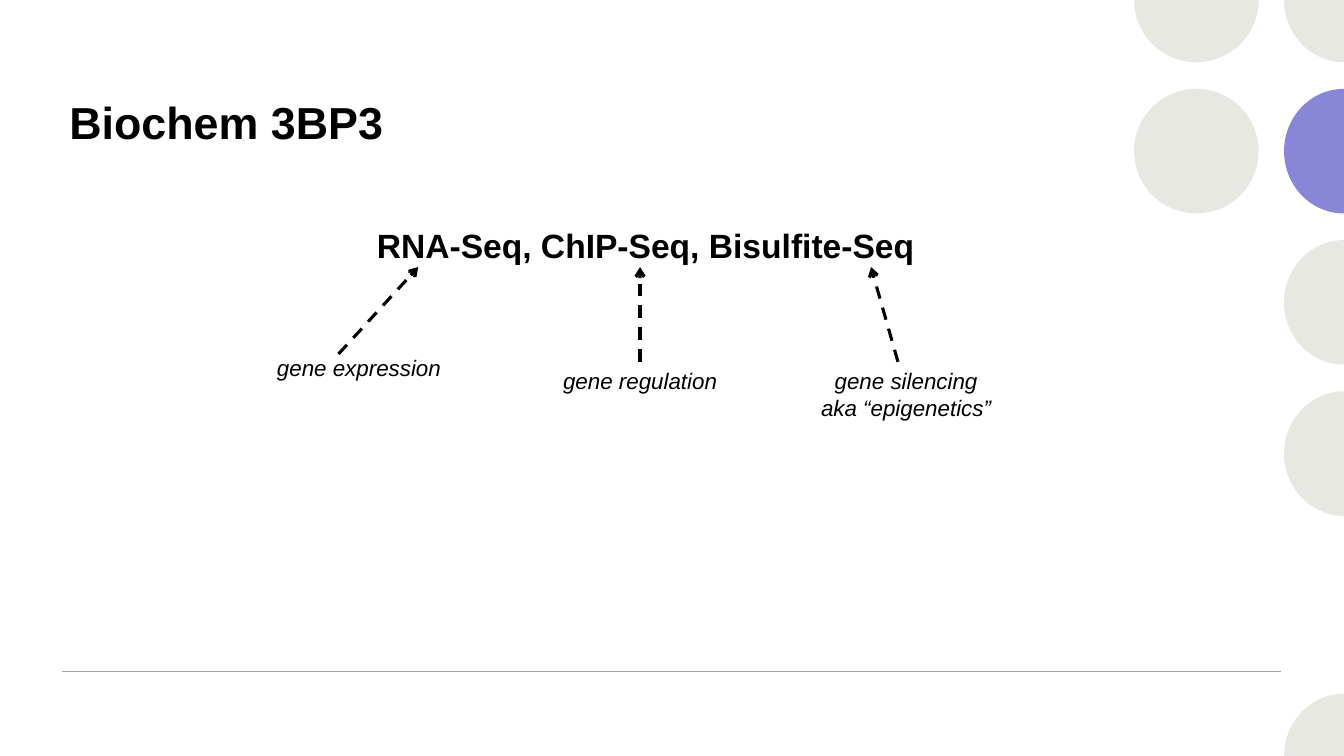
from math import cos, radians, sin

from lxml import etree
from pptx import Presentation
from pptx.dml.color import RGBColor
from pptx.enum.dml import MSO_LINE
from pptx.enum.shapes import MSO_CONNECTOR, MSO_SHAPE
from pptx.enum.text import PP_ALIGN
from pptx.oxml.ns import qn
from pptx.util import Cm, Pt

STRAIGHT = MSO_CONNECTOR.STRAIGHT
OVAL = MSO_SHAPE.OVAL
DASH = MSO_LINE.DASH
LEFT, CENTER = PP_ALIGN.LEFT, PP_ALIGN.CENTER

WIDTH, HEIGHT = 33.87, 19.05
BLACK, BEIGE, PURPLE, GREY = "000000", "E8E8E2", "8985D7", "A6A6A6"
RADIUS, EDGE_RADIUS, ROW_PITCH = 1.57, 1.51, 3.81
INNER_COLUMN = 30.15


def add_text(left, top, width, height, text, size, bold=False, italic=False, align=LEFT):
    box = slide.shapes.add_textbox(Cm(left), Cm(top), Cm(width), Cm(height))
    frame = box.text_frame
    frame.word_wrap = True
    frame.text = text
    for para in frame.paragraphs:
        para.alignment = align
        for span in para.runs:
            span.font.name = "Arial"
            span.font.size = Pt(size)
            span.font.bold = bold
            span.font.italic = italic
            span.font.color.rgb = RGBColor.from_string(BLACK)
    return box


def add_line(start, end, color, weight):
    line = slide.shapes.add_connector(STRAIGHT, Cm(start[0]), Cm(start[1]), Cm(end[0]), Cm(end[1]))
    line.line.color.rgb = RGBColor.from_string(color)
    line.line.width = Pt(weight)
    etree.SubElement(line._element.spPr, qn("a:effectLst"))
    return line


deck = Presentation()
deck.slide_width, deck.slide_height = Cm(WIDTH), Cm(HEIGHT)
slide = deck.slides.add_slide(deck.slide_layouts[6])

# Centre x, row, horizontal radius, start angle, sweep, colour
circles = [
    (INNER_COLUMN, 1, RADIUS, 0, 360, BEIGE),
    (INNER_COLUMN, 0, RADIUS, 0, 180, BEIGE),
    (WIDTH, 5, EDGE_RADIUS, 180, 90, BEIGE),
    (WIDTH, 3, EDGE_RADIUS, 90, 180, BEIGE),
    (WIDTH, 2, EDGE_RADIUS, 90, 180, BEIGE),
    (WIDTH, 1, EDGE_RADIUS, 90, 180, PURPLE),
    (WIDTH, 0, EDGE_RADIUS, 90, 90, BEIGE),
]
for x, row, radius_x, start, sweep, color in circles:
    y = row * ROW_PITCH
    if sweep == 360:
        circle = slide.shapes.add_shape(
            OVAL, Cm(x - RADIUS), Cm(y - RADIUS), Cm(2 * RADIUS), Cm(2 * RADIUS))
    else:
        corners = [
            (Cm(x + radius_x * cos(radians(angle))), Cm(y + RADIUS * sin(radians(angle))))
            for angle in range(start, start + sweep + 1, 90)
        ]
        builder = slide.shapes.build_freeform(Cm(x), Cm(y))
        builder.add_line_segments(corners, close=True)
        circle = builder.convert_to_shape()
        # Keep the line from the centre to the rim and round off the rest
        first, *others = circle._element.findall(".//" + qn("a:lnTo"))
        for segment in others:
            segment.getparent().remove(segment)
        arc = etree.Element(
            qn("a:arcTo"), wR=str(Cm(radius_x)), hR=str(Cm(RADIUS)),
            stAng=str(start * 60000), swAng=str(sweep * 60000))
        first.addnext(arc)
    circle.shadow.inherit = False
    circle.fill.solid()
    circle.fill.fore_color.rgb = RGBColor.from_string(color)
    circle.line.fill.background()

add_line((1.57, 16.92), (32.28, 16.92), GREY, 1)

title = add_text(1.57, 2.13, 20.37, 2.21, "Biochem 3BP3", 32, bold=True)
title.text_frame.margin_left = Cm(0.18)
title.text_frame.margin_top = Cm(0.25)

# Label text, left, top, height, alignment, arrow start, arrow end
labels = [
    ("gene expression", 6.73, 8.79, 0.94, LEFT, (8.53, 8.92), (10.54, 6.73)),
    ("gene regulation", 13.94, 9.12, 0.94, LEFT, (16.13, 9.12), (16.13, 6.73)),
    ("gene silencing\naka “epigenetics”", 19.94, 9.12, 1.63, CENTER, (22.63, 9.12), (21.95, 6.73)),
]
for text, left, top, height, align, tail, tip in labels:
    arrow = add_line(tail, tip, BLACK, 2.25)
    arrow.line.dash_style = DASH
    etree.SubElement(arrow.line._get_or_add_ln(), qn("a:tailEnd"), type="arrow")
    add_text(left, top, 5.79, height, text, 16, italic=True, align=align)

add_text(5.79, 5.54, 20.96, 1.27, "RNA-Seq, ChIP-Seq, Bisulfite-Seq", 24, bold=True, align=CENTER)

deck.save("out.pptx")
